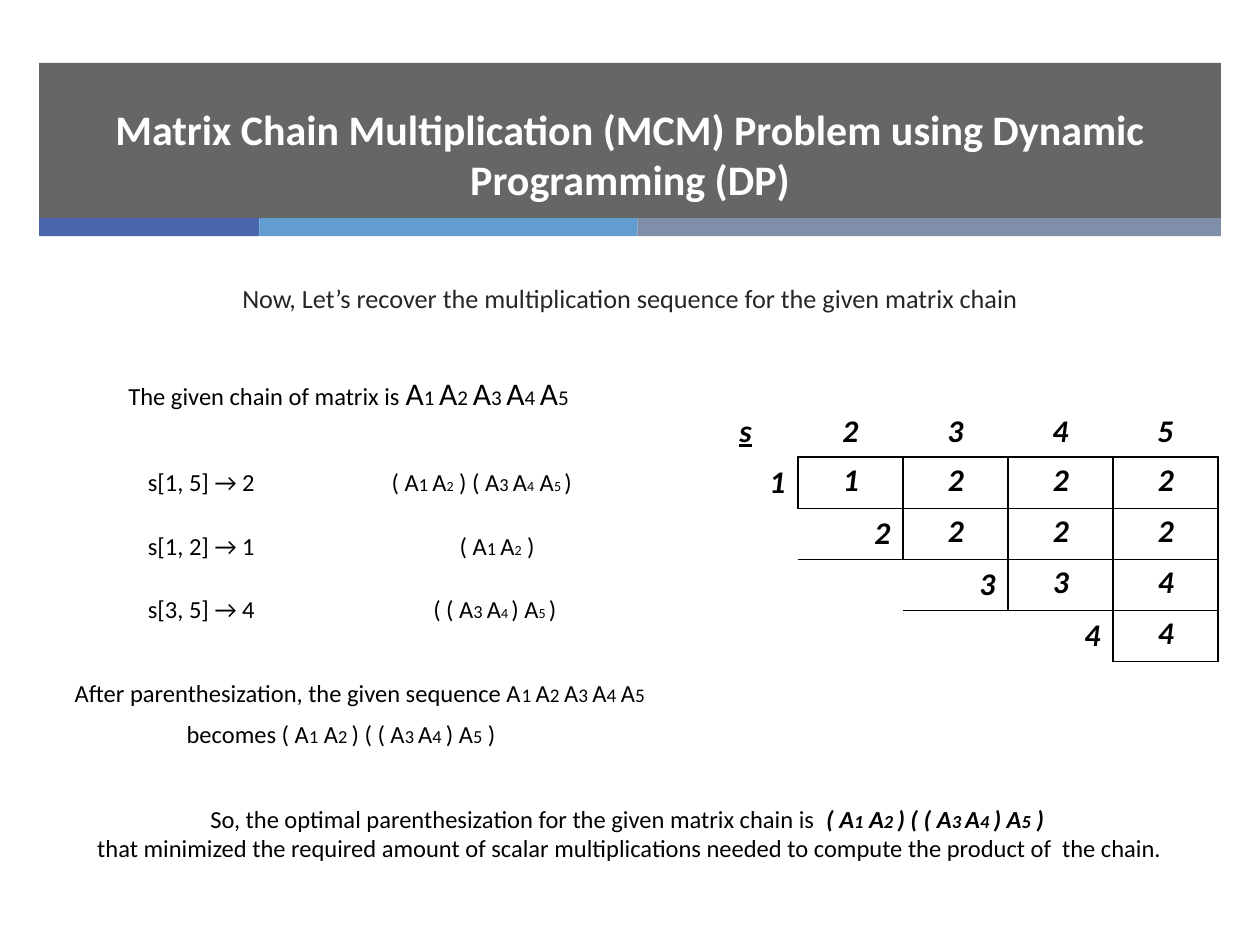
from itertools import cycle
from lxml.etree import SubElement
from pptx import Presentation
from pptx.dml.color import RGBColor
from pptx.enum.shapes import MSO_SHAPE
from pptx.enum.text import MSO_ANCHOR, MSO_AUTO_SIZE, PP_ALIGN
from pptx.oxml import parse_xml
from pptx.oxml.ns import nsdecls, qn
from pptx.util import Pt

BLACK = RGBColor(0x00, 0x00, 0x00)
WHITE = RGBColor(0xFF, 0xFF, 0xFF)
CHARCOAL = RGBColor(0x26, 0x26, 0x26)
BLUE = RGBColor(0x4A, 0x66, 0xAC)
SKY = RGBColor(0x62, 0x9D, 0xD1)
SLATE = RGBColor(0x7F, 0x8F, 0xA9)
FONT = "Calibri"
NO_STYLE = "{2D5ABB26-0587-4C30-8999-92F81FD0307C}"
FINAL_CHAIN = "( A|1| A|2 |) ( ( A|3 |A|4 |) A|5| )"


def add_span(para, text, size=14, color=BLACK, bold=False, italic=False):
    span = para.add_run()
    span.text = text
    font = span.font
    font.name, font.size, font.bold, font.italic = FONT, Pt(size), bold, italic
    font.color.rgb = color
    return span


def add_chain(para, chain, small_sizes, size=14, strong=False):
    small = cycle(small_sizes)
    for index, part in enumerate(chain.split("|")):
        part_size = next(small) if index % 2 else size
        add_span(para, part, part_size, bold=strong, italic=strong)


def place(shape, box):
    shape.left, shape.top, shape.width, shape.height = (Pt(value) for value in box)


def add_text(page, box, align=PP_ALIGN.LEFT, wrap=False):
    shape = page.shapes.add_textbox(*(Pt(value) for value in box))
    shape.text_frame.word_wrap = wrap
    para = shape.text_frame.paragraphs[0]
    para.alignment = align
    return para


def add_bar(page, box, color):
    bar = page.shapes.add_shape(MSO_SHAPE.RECTANGLE, *(Pt(value) for value in box))
    bar.shadow.inherit = False
    bar.fill.solid()
    bar.fill.fore_color.rgb = color
    bar.line.fill.background()
    return bar


def build_header(page, box):
    left, top, width, height = box
    band = add_bar(page, (left, top, width, 89), CHARCOAL)
    color = band.fill._xPr.find(".//" + qn("a:srgbClr"))
    SubElement(color, qn("a:alpha"), val="70000")
    x = left
    for stripe_width, stripe_color in ((126, BLUE), (216, SKY), (width - 342, SLATE)):
        add_bar(page, (x, top + 88.7, stripe_width, height - 88.7), stripe_color)
        x += stripe_width
    title = page.shapes.title
    place(title, (left, top + 13.7, width, 76.3))
    page.shapes._spTree.append(title._element)
    frame = title.text_frame
    frame.word_wrap = True
    frame.auto_size = MSO_AUTO_SIZE.NONE
    frame.vertical_anchor = MSO_ANCHOR.MIDDLE
    para = frame.paragraphs[0]
    para.alignment = PP_ALIGN.CENTER
    add_span(para, "Matrix Chain Multiplication (MCM) Problem using Dynamic Programming (DP)",
             24, WHITE, bold=True)


def build_intro(page, box):
    body = page.placeholders[1]
    place(body, box)
    frame = body.text_frame
    frame.auto_size = MSO_AUTO_SIZE.NONE
    frame.vertical_anchor = MSO_ANCHOR.TOP
    frame.margin_top = Pt(53)
    para = frame.paragraphs[0]
    para.alignment = PP_ALIGN.CENTER
    para.space_before = Pt(0)
    properties = para._p.get_or_add_pPr()
    properties.set("marL", "0")
    properties.set("indent", "0")
    SubElement(properties, qn("a:buNone"))
    add_span(para, "Now, Let\u2019s recover the multiplication sequence for the given matrix chain",
             15, CHARCOAL)


def set_borders(cell, sides):
    properties = cell._tc.get_or_add_tcPr()
    for index, side in enumerate(sides):
        properties.insert(index, parse_xml(
            f'<a:ln{side} {nsdecls("a")} w="12700"><a:solidFill>'
            f'<a:srgbClr val="{BLACK}"/></a:solidFill></a:ln{side}>'))


def is_boxed(row, column):
    return 1 <= row <= column <= 4


def build_split_table(page, box):
    left, top, width, height = box
    step_x, step_y = width / 5, height / 5
    frame = page.shapes.add_table(5, 5, *(Pt(value) for value in box))
    table = frame.table
    table.first_row = table.horz_banding = False
    table._tbl.tblPr.find(qn("a:tableStyleId")).text = NO_STYLE
    for line in table.rows:
        line.height = Pt(step_y)
    for row in range(5):
        for column in range(5):
            cell = table.cell(row, column)
            cell.fill.background()
            neighbours = {"L": (row, column - 1), "R": (row, column + 1),
                          "T": (row - 1, column), "B": (row + 1, column)}
            set_borders(cell, [side for side, other in neighbours.items()
                               if is_boxed(row, column) or is_boxed(*other)])
            para = cell.text_frame.paragraphs[0]
            if row == 0:
                para.alignment = PP_ALIGN.CENTER
                label = str(column + 1) if column else "s"
                span = add_span(para, label, 18, bold=True, italic=True)
                span.font.underline = column == 0
                cell.vertical_anchor = MSO_ANCHOR.BOTTOM if column else MSO_ANCHOR.TOP
            elif column == row - 1:
                para.alignment = PP_ALIGN.RIGHT
                add_span(para, str(row), 18, bold=True, italic=True)
    for row, values in enumerate(("1222", "222", "34", "4")):
        for column, value in enumerate(values, row):
            para = add_text(page, (left + 78.5 + column * step_x, top + 27.2 + row * step_y, 26, 29))
            add_span(para, value, 18, bold=True, italic=True)


def build_steps(page, box):
    left, top, width, height = box
    para = add_text(page, (left + 45.4, top, 295, 29))
    add_span(para, "The given chain of matrix is ")
    add_chain(para, "A|1 |A|2 |A|3 |A|4 |A|5", (12,), 18)
    steps = (
        ("s[1, 5] \u2192 2", "( A|1 |A|2| ) ( A|3 |A|4| A|5 |)", (10.5, 8, 10.5, 8, 8), 195.8, 132),
        ("s[1, 2] \u2192 1", "( A|1 |A|2| )", (10.5, 8), 234.7, 63),
        ("s[3, 5] \u2192 4", "( ( A|3 |A|4 |) A|5 |)", (10.5, 8, 8), 219.6, 95),
    )
    for index, (split, chain, sizes, offset, chain_width) in enumerate(steps):
        y = top + 53.3 + index * 36.2
        add_span(add_text(page, (left + 56.5, y, 81, 24.5)), split)
        add_chain(add_text(page, (left + offset, y, chain_width, 24.5)), chain, sizes)
    para = add_text(page, (left, top + 173.5, width, 24.5), PP_ALIGN.CENTER)
    add_chain(para, "After parenthesization, the given sequence A|1 |A|2 |A|3 |A|4 |A|5", (11,))
    para = add_text(page, (left + 69, top + 197.3, 210, 24.5), PP_ALIGN.CENTER)
    add_chain(para, "becomes " + FINAL_CHAIN, (10.5,))


def build_conclusion(page, box):
    para = add_text(page, box, PP_ALIGN.CENTER, wrap=True)
    add_span(para, "So, the optimal parenthesization for the given matrix chain is  ")
    add_chain(para, FINAL_CHAIN + " ", (10.5,), strong=True)
    para = para._parent.add_paragraph()
    para.alignment = PP_ALIGN.CENTER
    add_span(para, "that minimized the required amount of scalar multiplications "
                   "needed to compute the product of  the chain.")


deck = Presentation()
deck.slide_width, deck.slide_height = Pt(720), Pt(540)
page = deck.slides.add_slide(deck.slide_layouts[1])
build_header(page, (22.3, 36, 675.4, 99))
build_intro(page, (18, 108, 684, 384))
build_split_table(page, (396, 232, 300, 146.25))
build_steps(page, (20.9, 210.2, 369.4, 222))
build_conclusion(page, (18, 455.8, 684, 41))
deck.save("out.pptx")
